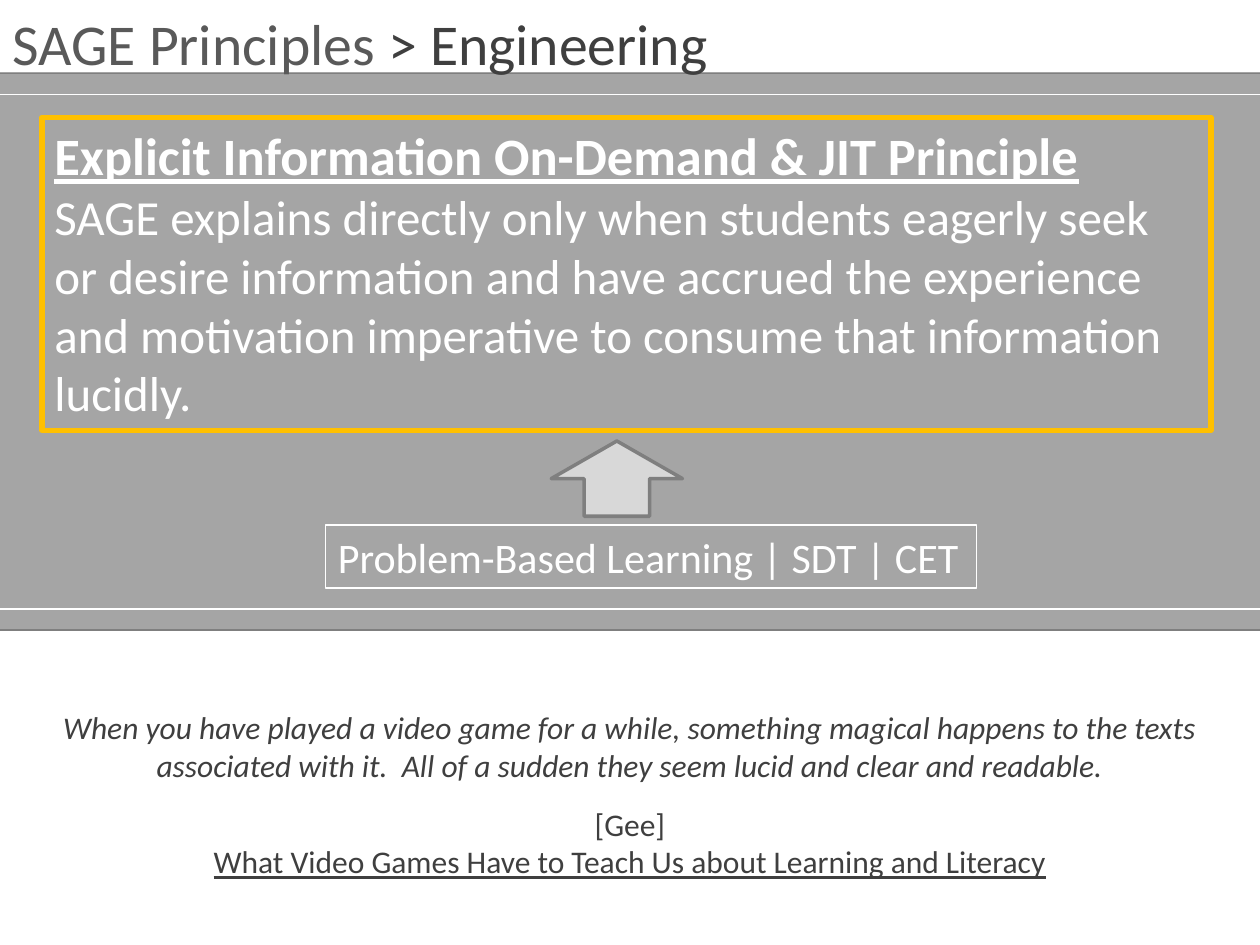
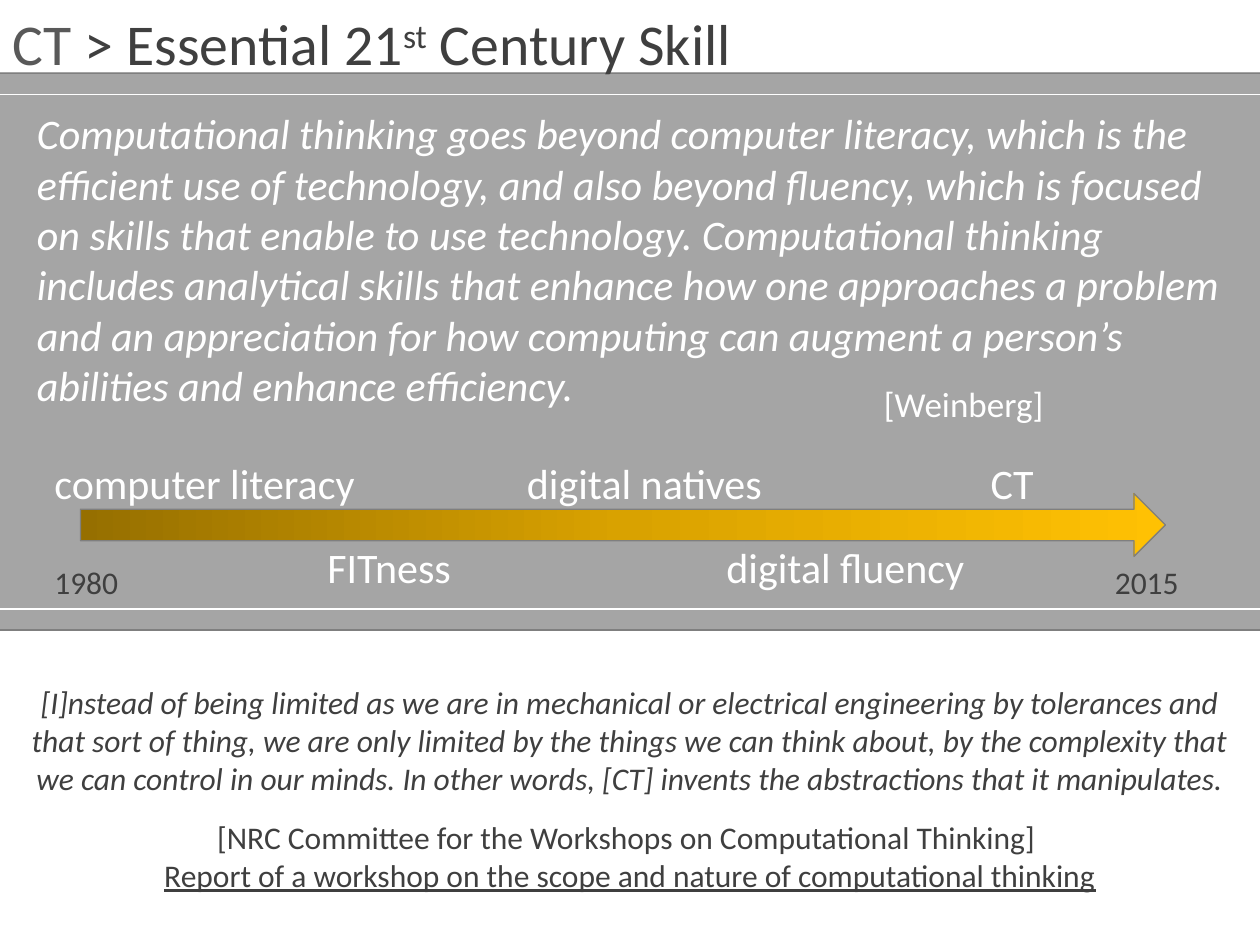
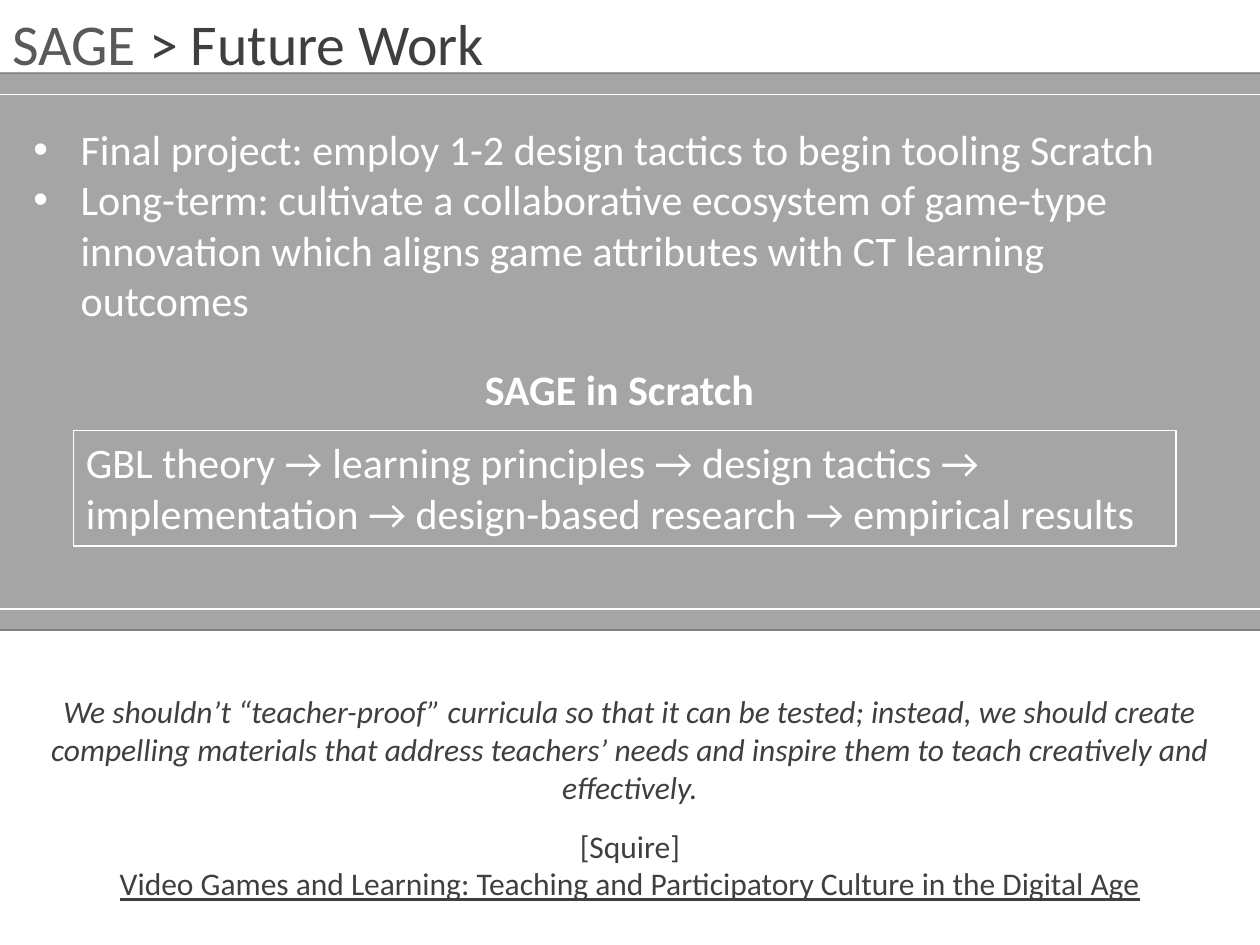
from copy import deepcopy

from lxml import etree
from pptx import Presentation
from pptx.dml.color import RGBColor
from pptx.enum.shapes import MSO_CONNECTOR, MSO_SHAPE
from pptx.enum.text import MSO_ANCHOR, PP_ALIGN
from pptx.oxml.ns import qn
from pptx.util import Pt

FONT = "Calibri"
WHITE = RGBColor(0xFF, 0xFF, 0xFF)
BAND = RGBColor(0xA5, 0xA5, 0xA5)
RULE = RGBColor(0x7F, 0x7F, 0x7F)
DARK = RGBColor(0x3F, 0x3F, 0x3F)
TOPIC = RGBColor(0x59, 0x59, 0x59)
LIGHT = RGBColor(0xD8, 0xD8, 0xD8)
GOLD = RGBColor(0xFF, 0xC0, 0x00)
TIMELINE = [(0, RGBColor(0x96, 0x6F, 0x00)), (0.5, RGBColor(0xD9, 0xA2, 0x00)),
            (1, RGBColor(0xFF, 0xC1, 0x03))]

WIDTH, HEIGHT = 720, 540
BAND_TOP, BAND_BOTTOM, INSET = 42, 360, 12


class Deck:
    def __init__(self):
        self.prs = Presentation()
        self.prs.slide_width, self.prs.slide_height = Pt(WIDTH), Pt(HEIGHT)
        self.s = None

    def slide(self, topic, *title):
        """Start a slide with the shared band and a two-tone title."""
        self.s = self.prs.slides.add_slide(self.prs.slide_layouts[6])
        self.shape(MSO_SHAPE.RECTANGLE, 0, BAND_TOP, WIDTH, 317, BAND, BAND, 2)
        for y, color in ((BAND_TOP + INSET, WHITE), (BAND_BOTTOM - INSET, WHITE),
                         (BAND_TOP, RULE), (BAND_BOTTOM, RULE)):
            self.rule(y, color)
        sp = self.text(0, 1, 726, 87, topic, 33, TOPIC)
        p = sp.text_frame.paragraphs[0]
        for i, part in enumerate(title):
            r = p.add_run()
            r.text = part
            self.style(r.font, 33, DARK)
            if i == 1:  # the middle part is an ordinal suffix
                r.font._element.set("baseline", "30000")

    def style(self, font, size, color, bold=False, italic=False, underline=False):
        font.name, font.size, font.color.rgb = FONT, Pt(size), color
        font.bold, font.italic, font.underline = bold, italic, underline

    def rule(self, y, color):
        c = self.s.shapes.add_connector(MSO_CONNECTOR.STRAIGHT,
                                        Pt(0), Pt(y), Pt(WIDTH), Pt(y))
        c.line.color.rgb, c.line.width = color, Pt(0.75)
        etree.SubElement(c._element.spPr, qn("a:effectLst"))

    def shape(self, kind, x, y, w, h, fill, line, weight):
        sp = self.s.shapes.add_shape(kind, Pt(x), Pt(y), Pt(w), Pt(h))
        sp.shadow.inherit = False
        if fill is None:
            sp.fill.background()
        else:
            sp.fill.solid()
            sp.fill.fore_color.rgb = fill
        sp.line.color.rgb, sp.line.width = line, Pt(weight)
        return sp

    def set_text(self, sp, lines, size, color, align=PP_ALIGN.LEFT, **look):
        tf = sp.text_frame
        tf.word_wrap, tf.vertical_anchor = True, MSO_ANCHOR.TOP
        tf.text = lines
        for p in tf.paragraphs:
            p.alignment = align
            for r in p.runs:
                self.style(r.font, size, color, **look)
        return sp

    def text(self, x, y, w, h, lines, size=24, color=WHITE, **look):
        sp = self.s.shapes.add_textbox(Pt(x), Pt(y), Pt(w), Pt(h))
        return self.set_text(sp, lines, size, color, **look)

    def box(self, x, y, w, h, lines, size=24, line=WHITE, weight=0.75):
        sp = self.shape(MSO_SHAPE.RECTANGLE, x, y, w, h, None, line, weight)
        return self.set_text(sp, lines, size, WHITE)

    def bullets(self, x, y, w, h, items):
        sp = self.text(x, y, w, h, "\n".join(items))
        for p in sp.text_frame.paragraphs:
            pPr = p._p.get_or_add_pPr()
            pPr.set("marL", str(Pt(27)))
            pPr.set("indent", str(-Pt(27)))
            etree.SubElement(pPr, qn("a:buFont")).set("typeface", "Arial")
            etree.SubElement(pPr, qn("a:buChar")).set("char", "•")

    def gradient_arrow(self, x, y, w, h, stops):
        sp = self.shape(MSO_SHAPE.RIGHT_ARROW, x, y, w, h, GOLD, RULE, 0.75)
        sp.fill.gradient()
        sp.fill.gradient_angle = 0
        gs = sp._element.spPr.find(".//" + qn("a:gsLst"))
        gs.append(deepcopy(gs[0]))
        for stop, (position, color) in zip(sp.fill.gradient_stops, stops):
            stop.position, stop.color.rgb = position, color

    def quote(self, y, h, quotation, author, work):
        """Centred quotation with its author and underlined work."""
        sp = self.text(0, y, WIDTH, h, "\n".join((quotation, author, work)),
                       18, DARK, align=PP_ALIGN.CENTER, italic=True)
        by, title = sp.text_frame.paragraphs[-2:]
        by.space_before = Pt(12)
        by.runs[0].font.italic = title.runs[0].font.italic = False
        title.runs[0].font.underline = True


def engineering(d):
    d.slide("SAGE Principles ", "> Engineering")
    d.quote(401, 107,
            "When you have played a video game for a while, something magical "
            "happens to the texts\n"
            "associated with it.  All of a sudden they seem lucid and clear and readable.",
            "[Gee]", "What Video Games Have to Teach Us about Learning and Literacy")

    # Principle and the theories beneath it
    sp = d.box(24, 67, 668, 179,
               "Explicit Information On-Demand & JIT Principle\n"
               "SAGE explains directly only when students eagerly seek or desire "
               "information and have accrued the experience and motivation imperative "
               "to consume that information lucidly.", 28, GOLD, 3)
    heading = sp.text_frame.paragraphs[0].runs[0]
    d.style(heading.font, 30, WHITE, bold=True, underline=True)
    d.shape(MSO_SHAPE.UP_ARROW, 315, 252, 75, 43, LIGHT, RULE, 2)
    d.box(186, 300, 372, 36, "Problem-Based Learning | SDT | CET")


def essential_skill(d):
    d.slide("CT ", "> Essential 21", "st", " Century Skill")
    d.quote(387, 128,
            "[I]nstead of being limited as we are in mechanical or electrical "
            "engineering by tolerances and that sort of thing, we are only limited by "
            "the things we can think about, by the complexity that we can control in "
            "our minds. In other words, [CT] invents the abstractions that it manipulates.",
            "[NRC Committee for the Workshops on Computational Thinking] ",
            "Report of a workshop on the scope and nature of computational thinking")

    # Definition
    d.text(14, 58, 700, 162,
           "Computational thinking goes beyond computer literacy, which is the "
           "efficient use of technology, and also beyond fluency, which is focused on "
           "skills that enable to use technology. Computational thinking includes "
           "analytical skills that enhance how one approaches a problem and an "
           "appreciation for how computing can augment a person’s abilities and "
           "enhance efficiency.", italic=True)
    d.text(498, 215, 198, 32, "[Weinberg]", 20)

    # Timeline: eras above and below the arrow, years at its ends
    above, below = 258, 306
    for x, y, w, era in ((24, above, 228, "computer literacy"),
                         (294, above, 198, "digital natives"),
                         (180, below, 132, "FITness"),
                         (408, below, 204, "digital fluency"),
                         (559, above, 59, "CT")):
        d.text(x, y, w, 36, era)
    d.gradient_arrow(46, 282, 620, 36, TIMELINE)
    for x, year in ((24, "1980"), (630, "2015")):
        d.text(x, 318, 72, 36, year, 18, DARK)


def future_work(d):
    d.slide("SAGE ", "> Future Work")
    d.bullets(12, 67, 690, 124, [
        "Final project: employ 1-2 design tactics to begin tooling Scratch",
        "Long-term: cultivate a collaborative ecosystem of game-type innovation "
        "which aligns game attributes with CT learning outcomes"])

    # Research path
    d.box(42, 246, 630, 66,
          "GBL theory → learning principles → design tactics → implementation → "
          "design-based research → empirical results")
    d.text(270, 204, 174, 36, "SAGE in Scratch", bold=True)
    d.quote(392, 128,
            "We shouldn’t “teacher-proof” curricula so that it can be tested; instead, "
            "we should create compelling materials that address teachers’ needs and "
            "inspire them to teach creatively and effectively.",
            "[Squire]",
            "Video Games and Learning: Teaching and Participatory Culture in the Digital Age")


def main():
    d = Deck()
    for build in (engineering, essential_skill, future_work):
        build(d)
    d.prs.save("out.pptx")


if __name__ == "__main__":
    main()
